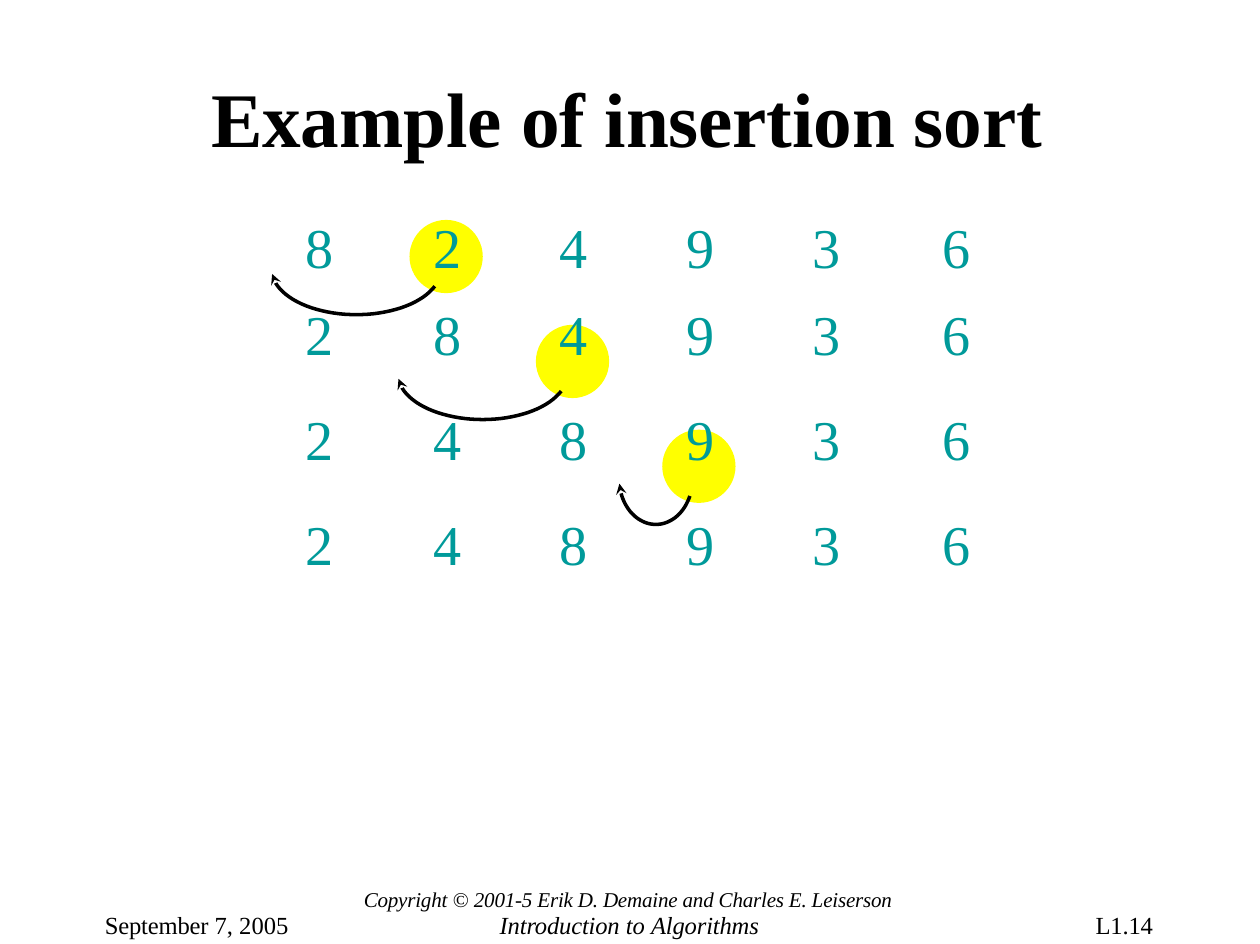
from math import cos, radians, sin

from lxml.etree import SubElement
from pptx import Presentation
from pptx.dml.color import RGBColor
from pptx.enum.shapes import MSO_SHAPE
from pptx.enum.text import MSO_ANCHOR, MSO_AUTO_SIZE, PP_ALIGN
from pptx.oxml.ns import qn
from pptx.util import Inches, Pt

BLACK = RGBColor(0x00, 0x00, 0x00)
TEAL = RGBColor(0x00, 0x9A, 0x9A)
YELLOW = RGBColor(0xFF, 0xFF, 0x00)
NO_GRID_STYLE = "{2D5ABB26-0587-4C30-8999-92F81FD0307C}"


def add_text(paragraph, text, size, color=BLACK, bold=False, italic=False, spacing=-10):
    run = paragraph.add_run()
    run.text = text
    run.font.name = "Times New Roman"
    run.font.size = Pt(size)
    run.font.bold, run.font.italic = bold, italic
    run.font.color.rgb = color
    run.font._element.set("spc", str(spacing))


def clear_margins(frame):
    frame.margin_left = frame.margin_right = 0
    frame.margin_top = frame.margin_bottom = 0


prs = Presentation()
prs.slide_width, prs.slide_height = Inches(9.97), Inches(7.47)
slide = prs.slides.add_slide(prs.slide_layouts[5])
shapes = slide.shapes

# Title
title = shapes.title
title.left, title.top = Inches(1.28), Inches(0.56)
title.width, title.height = Inches(7.42), Inches(0.74)
heading = title.text_frame
clear_margins(heading)
heading.vertical_anchor = MSO_ANCHOR.TOP
heading.auto_size = MSO_AUTO_SIZE.SHAPE_TO_FIT_TEXT
heading_line = heading.paragraphs[0]
heading_line.alignment = PP_ALIGN.LEFT
heading_line._p.get_or_add_pPr().set("marL", str(Inches(0.39)))
for words, spacing in (("Example ", -10), ("of ", 0), ("insertion sort", -10)):
    add_text(heading_line, words, 44, bold=True, spacing=spacing)

# Highlighted key of each pass, and the arc to where it is inserted
STEP = 0.83
for step, (key_left, arc_center, arc_radius) in enumerate(
    [(3.24, 2.82, 0.67), (4.24, 3.82, 0.67), (5.24, 5.19, 0.29)]
):
    drop = step * STEP
    key = shapes.add_shape(MSO_SHAPE.OVAL, Inches(key_left), Inches(1.74 + drop),
                           Inches(0.58), Inches(0.58))
    key.shadow.inherit = False
    key.fill.solid()
    key.fill.fore_color.rgb = YELLOW
    key.line.fill.background()

    arc_points = [
        (Inches(arc_center + arc_radius * cos(radians(angle))),
         Inches(2.13 + drop + 0.36 * sin(radians(angle))))
        for angle in range(22, 175, 4)
    ]
    outline = shapes.build_freeform(*arc_points[0])
    outline.add_line_segments(arc_points[1:], close=False)
    arc = outline.convert_to_shape()
    arc.shadow.inherit = False
    arc.fill.background()
    arc.line.color.rgb = BLACK
    arc.line.width = Pt(2)
    SubElement(arc.line._get_or_add_ln(), qn("a:tailEnd"), type="stealth")

# Array after each pass
PASSES = ["824936", "284936", "248936", "248936"]
COLUMN_WIDTHS = [0.64, 1, 1, 1, 1, 0.64]
ROW_HEIGHTS = [0.71, STEP, STEP, 0.71]
ALIGNMENTS = [PP_ALIGN.LEFT] + [PP_ALIGN.CENTER] * 4 + [PP_ALIGN.RIGHT]
array = shapes.add_table(4, 6, Inches(2.4), Inches(1.71), Inches(5.28), Inches(3.08)).table
array.first_row = array.horz_banding = False
array._tbl.tblPr.find(qn("a:tableStyleId")).text = NO_GRID_STYLE
for column, width in zip(array.columns, COLUMN_WIDTHS):
    column.width = Inches(width)
for row_index, (row, height, numbers) in enumerate(zip(array.rows, ROW_HEIGHTS, PASSES)):
    row.height = Inches(height)
    for cell, number, alignment in zip(row.cells, numbers, ALIGNMENTS):
        clear_margins(cell)
        cell.fill.background()
        line = cell.text_frame.paragraphs[0]
        line.alignment = alignment
        if alignment == PP_ALIGN.LEFT:
            line._p.get_or_add_pPr().set("marL", str(Inches(0.02)))
        if row_index == 0:
            line.line_spacing = Pt(37.1)
        else:
            line.space_before = Pt(7.8)
        add_text(line, number, 32, TEAL, spacing=0)

# Footer: box, then lines of (runs, size, line spacing, indent)
FOOTER = [
    ((2.82, 7.05, 4.3, 0.4), PP_ALIGN.CENTER, True, [
        ([("Copyright ", -10), ("© ", 0),
          ("2001-5 Erik D. Demaine and Charles E. Leiserson", -10)], 12, 11.9, 0),
        ([("Introduction ", -10), ("to ", 0), ("Algorithms", -10)], 14, 15.6, 0.02),
    ]),
    ((0.82, 7.22, 1.49, 0.22), PP_ALIGN.LEFT, False,
     [([("September ", -10), ("7, 2005", 0)], 14, 15.1, 0.01)]),
    ((8.66, 7.22, 0.49, 0.22), PP_ALIGN.LEFT, False,
     [([("L1.14", -10)], 14, 15.1, 0.01)]),
]
for box, alignment, italic, lines in FOOTER:
    note = shapes.add_textbox(*map(Inches, box)).text_frame
    clear_margins(note)
    note.word_wrap = True
    note.auto_size = MSO_AUTO_SIZE.SHAPE_TO_FIT_TEXT
    for index, (runs, size, leading, indent) in enumerate(lines):
        line = note.add_paragraph() if index else note.paragraphs[0]
        line.alignment = alignment
        line.line_spacing = Pt(leading)
        line._p.get_or_add_pPr().set("marL", str(Inches(indent)))
        for words, spacing in runs:
            add_text(line, words, size, italic=italic, spacing=spacing)

prs.save("out.pptx")
